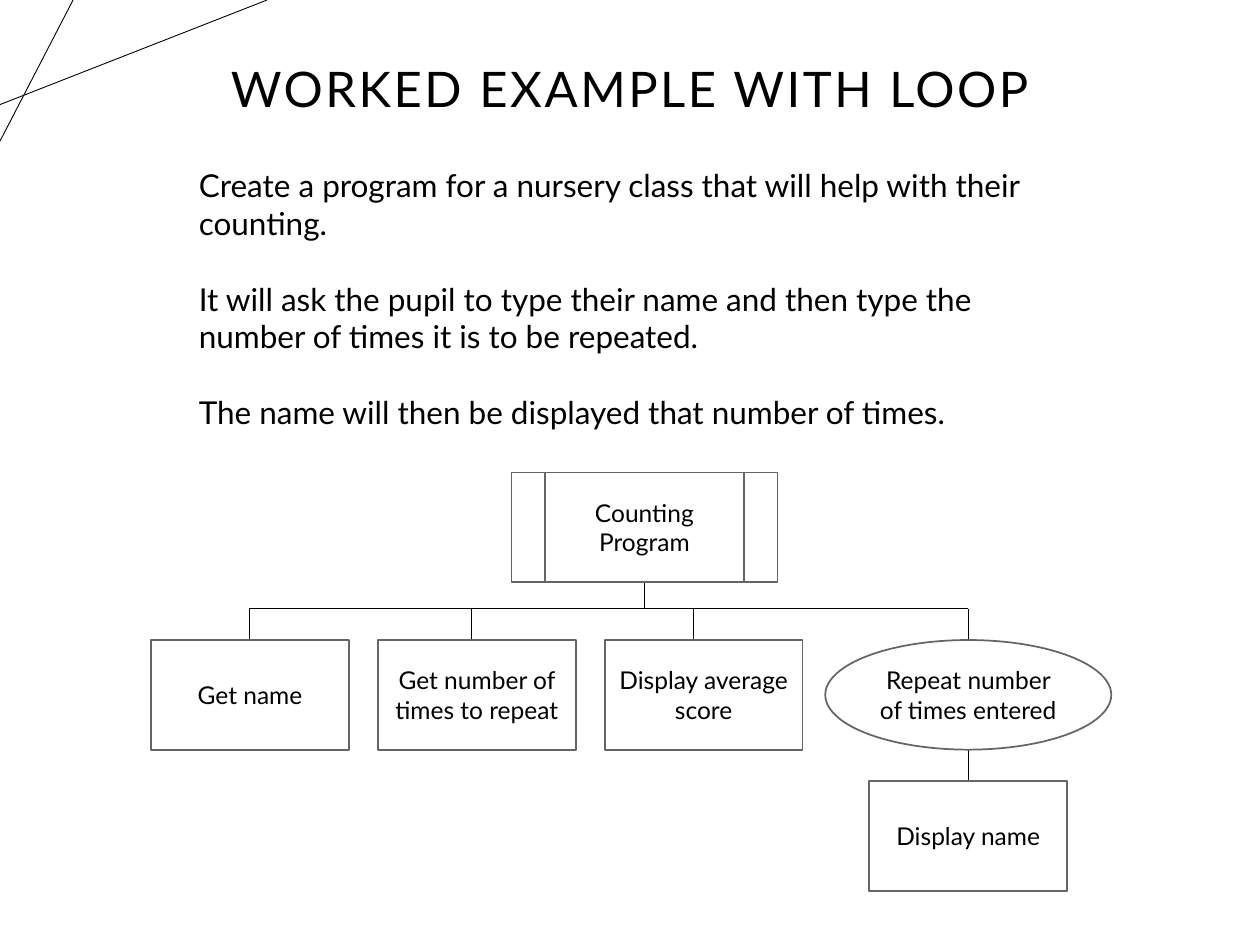
from lxml import etree
from pptx import Presentation
from pptx.dml.color import RGBColor
from pptx.enum.shapes import MSO_CONNECTOR, MSO_SHAPE
from pptx.enum.text import MSO_ANCHOR, PP_ALIGN
from pptx.oxml.ns import qn
from pptx.util import Inches, Pt

STRAIGHT = MSO_CONNECTOR.STRAIGHT
PREDEFINED = MSO_SHAPE.FLOWCHART_PREDEFINED_PROCESS
PROCESS = MSO_SHAPE.FLOWCHART_PROCESS
LOOP = MSO_SHAPE.FLOWCHART_CONNECTOR
MIDDLE, TOP = MSO_ANCHOR.MIDDLE, MSO_ANCHOR.TOP
CENTER, LEFT = PP_ALIGN.CENTER, PP_ALIGN.LEFT

FONT = "Lato"
BLACK, WHITE, GREY = "000000", "FFFFFF", "666562"
TITLE = "WORKED EXAMPLE WITH LOOP"
TASK = [
    "Create a program for a nursery class that will help with their counting.",
    "It will ask the pupil to type their name and then type the number of times it is to be repeated.",
    "The name will then be displayed that number of times.",
]
STEPS = ["Get name", "Get number of times to repeat", "Display average score"]


def color(hex_value):
    """Turn a hex string into a colour."""
    return RGBColor.from_string(hex_value)


def style(paragraph, size, alignment):
    """Set the font and alignment of a paragraph."""
    paragraph.alignment = alignment
    paragraph.font.name = FONT
    paragraph.font.size = Pt(size)
    paragraph.font.color.rgb = color(BLACK)


def add_line(slide, x1, y1, x2, y2):
    """Draw a thin black line between two points."""
    line = slide.shapes.add_connector(
        STRAIGHT, Inches(x1), Inches(y1), Inches(x2), Inches(y2))
    line.line.color.rgb = color(BLACK)
    line.line.width = Pt(0.5)
    etree.SubElement(line._element.spPr, qn("a:effectLst"))


def add_node(slide, kind, label, left, top, width, height):
    """Draw one labelled node of the structure diagram."""
    node = slide.shapes.add_shape(
        kind, Inches(left), Inches(top), Inches(width), Inches(height))
    node.shadow.inherit = False
    node.fill.solid()
    node.fill.fore_color.rgb = color(WHITE)
    node.line.color.rgb = color(GREY)
    node.line.width = Pt(1)
    frame = node.text_frame
    frame.word_wrap = True
    frame.vertical_anchor = MIDDLE
    frame.text = label
    style(frame.paragraphs[0], 14, CENTER)


def add_corner(slide, left, top):
    """Draw the two crossing lines of the corner."""
    add_line(slide, left, top + 0.83, left + 2.12, top)
    add_line(slide, left + 0.58, top, left, top + 1.12)


def add_title(slide, left, top, width, height):
    """Place and format the slide title."""
    title = slide.shapes.title
    title.left, title.top = Inches(left), Inches(top)
    title.width, title.height = Inches(width), Inches(height)
    frame = title.text_frame
    frame.text = TITLE
    frame.vertical_anchor = MIDDLE
    heading = frame.paragraphs[0]
    heading.line_spacing = 0.9
    style(heading, 28, CENTER)
    heading.runs[0]._r.get_or_add_rPr().set("spc", "150")


def add_task(slide, left, top, width, height):
    """Write the description of the task."""
    task = slide.shapes.add_textbox(
        Inches(left), Inches(top), Inches(width), Inches(height))
    frame = task.text_frame
    frame.word_wrap = True
    frame.vertical_anchor = TOP
    for index, sentence in enumerate(TASK):
        paragraph = frame.add_paragraph() if index else frame.paragraphs[0]
        paragraph.text = sentence
        if index:
            paragraph.space_before = Pt(21.6)
        style(paragraph, 18, LEFT)


def add_structure(slide, left, top, width, height):
    """Draw the structure diagram of the program."""
    node_width, node_height, drop = 1.57, 0.87, 0.25
    root_width, loop_width, pitch = 2.11, 2.27, 1.8
    display_top = top + height - node_height
    step_top = display_top - drop - node_height
    bus = step_top - drop
    loop_left = left + width - loop_width
    loop_center = loop_left + loop_width / 2
    root_left = left + 2.86
    root_center = root_left + root_width / 2
    stems = [left + 0.78, left + 2.54, left + 4.3, loop_center]

    add_line(slide, stems[0], bus, stems[-1], bus)
    add_line(slide, root_center, top + node_height, root_center, bus)
    for stem in stems:
        add_line(slide, stem, bus, stem, step_top)
    add_line(slide, loop_center, step_top + node_height, loop_center, display_top)

    add_node(slide, PREDEFINED, "Counting Program",
             root_left, top, root_width, node_height)
    for index, step in enumerate(STEPS):
        add_node(slide, PROCESS, step,
                 left + index * pitch, step_top, node_width, node_height)
    add_node(slide, LOOP, "Repeat number of times entered",
             loop_left, step_top, loop_width, node_height)
    add_node(slide, PROCESS, "Display name",
             loop_center - node_width / 2, display_top, node_width, node_height)


def main():
    """Build the slide and save it."""
    presentation = Presentation()
    presentation.slide_width, presentation.slide_height = Inches(10), Inches(7.5)
    slide = presentation.slides.add_slide(presentation.slide_layouts[5])
    slide.background.fill.solid()
    slide.background.fill.fore_color.rgb = color(WHITE)
    add_corner(slide, 0, 0)
    add_title(slide, 0.69, 0, 8.62, 1.45)
    add_task(slide, 1.48, 1.27, 7.03, 2.22)
    add_structure(slide, 1.2, 3.75, 7.62, 3.32)
    presentation.save("out.pptx")


if __name__ == "__main__":
    main()
